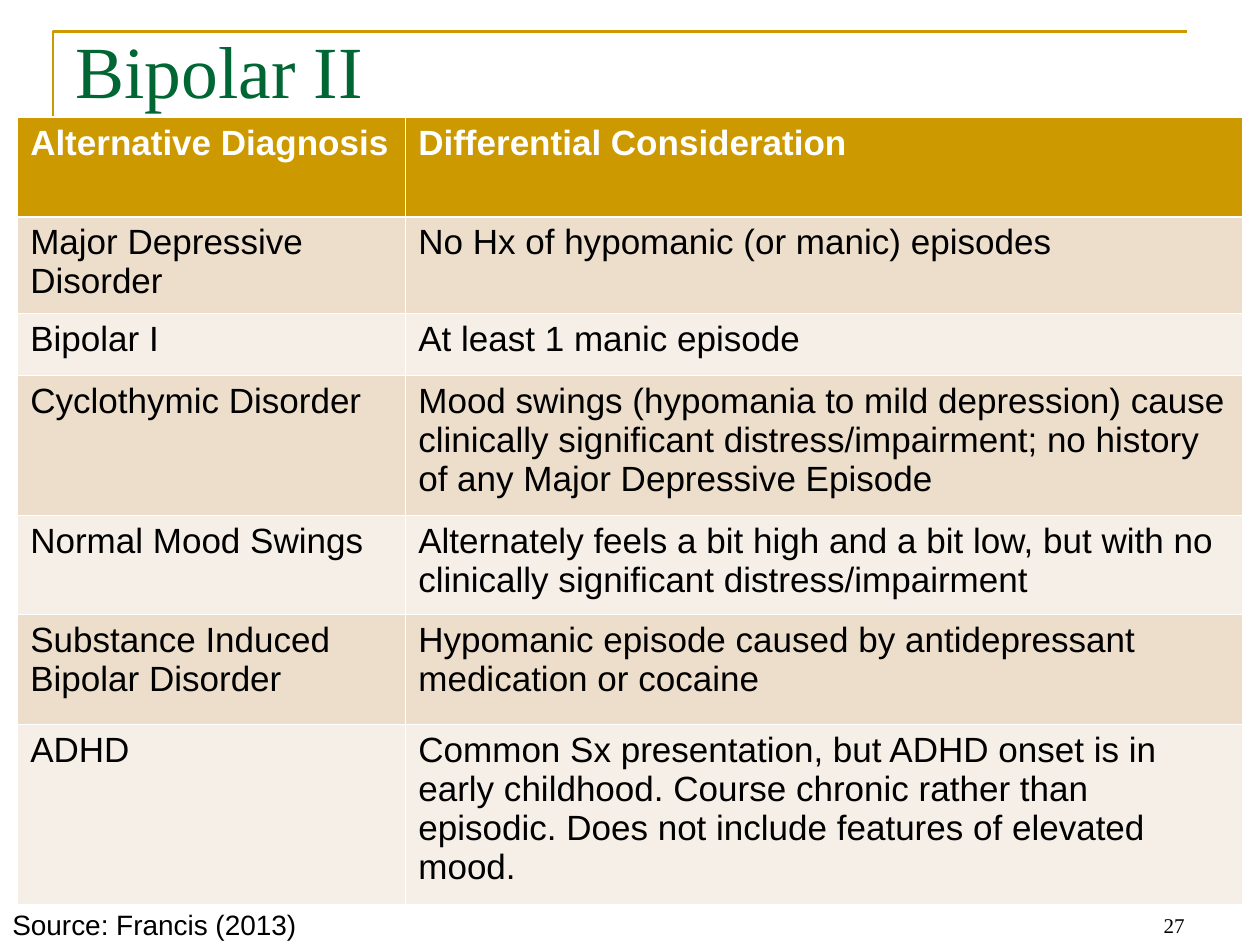
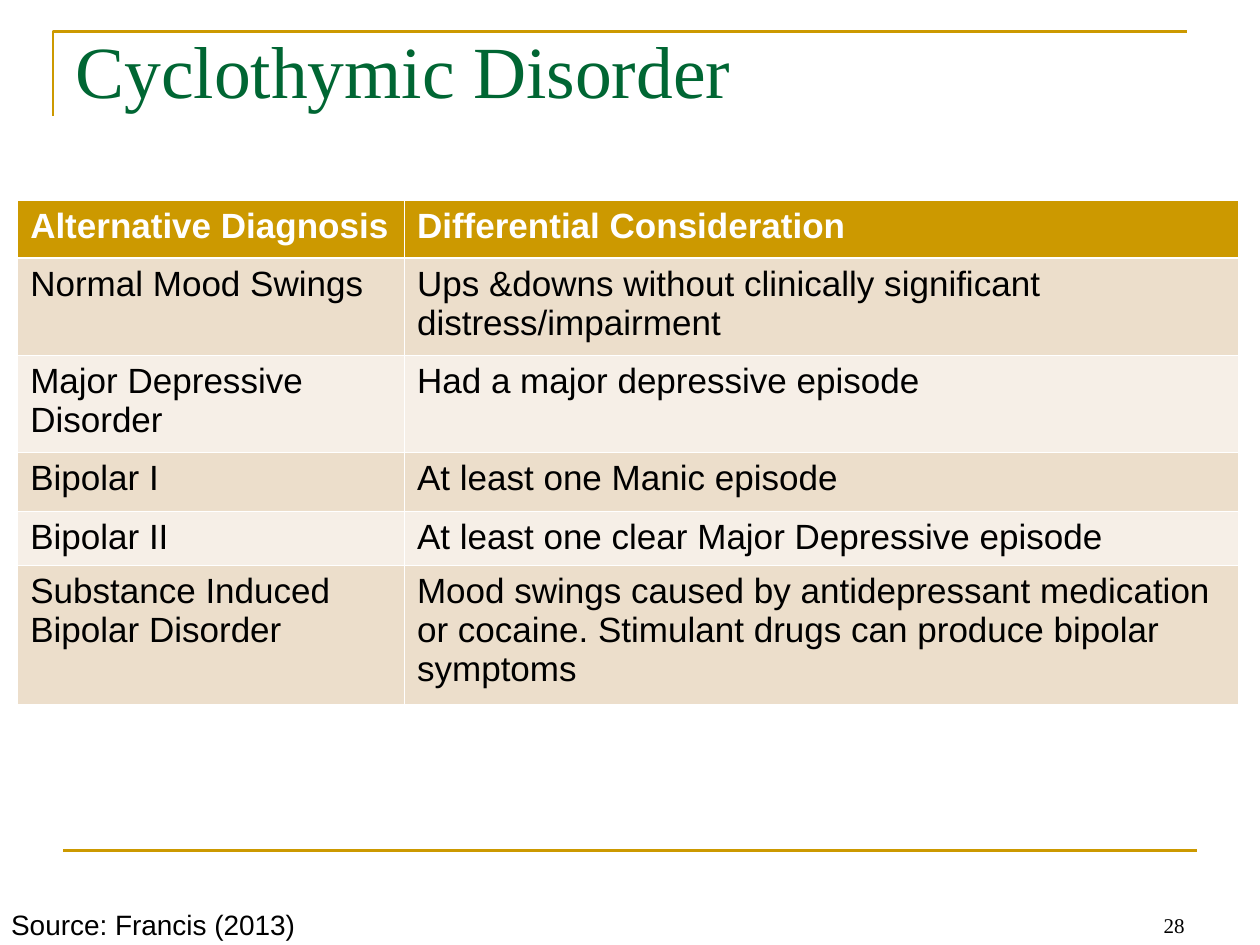
from dataclasses import dataclass

from lxml import etree
from pptx import Presentation
from pptx.dml.color import RGBColor
from pptx.enum.shapes import MSO_CONNECTOR
from pptx.enum.text import MSO_ANCHOR, PP_ALIGN
from pptx.oxml.ns import qn
from pptx.util import Inches, Pt

STRAIGHT = MSO_CONNECTOR.STRAIGHT
TOP, BOTTOM = MSO_ANCHOR.TOP, MSO_ANCHOR.BOTTOM
LEFT, RIGHT = PP_ALIGN.LEFT, PP_ALIGN.RIGHT


@dataclass(frozen=True)
class Theme:
    gold: str = "CC9900"
    green: str = "006633"
    black: str = "000000"
    white: str = "FFFFFF"
    bands: tuple = ("ECDECB", "F6EFE7")
    serif: str = "Times New Roman"
    sans: str = "Arial"
    title_size: float = 42
    table_size: float = 20
    source_size: float = 16
    number_size: float = 12
    rule_width: float = 1.5
    border_width: float = 0.45
    header_border_width: float = 1.47


THEME = Theme()
HEADINGS = ("Alternative Diagnosis", "Differential Consideration")
SOURCE = "Source: Francis (2013)"

DIAGNOSES = [
    {
        "title": "Bipolar II",
        "number": "27",
        "table_at": (0.14, 0.93),
        "columns": (3.08, 6.64),
        "source_at": (0, 7.15, 2.83, 0.37),
        "header_height": 0.79,
        "rows": [
            (0.77, "Major Depressive Disorder",
             "No Hx of hypomanic (or manic) episodes"),
            (0.49, "Bipolar I", "At least 1 manic episode"),
            (1.11, "Cyclothymic Disorder",
             "Mood swings (hypomania to mild depression) cause clinically "
             "significant distress/impairment; no history of any Major "
             "Depressive Episode"),
            (0.79, "Normal Mood Swings",
             "Alternately feels a bit high and a bit low, but with no "
             "clinically significant distress/impairment"),
            (0.87, "Substance Induced Bipolar Disorder",
             "Hypomanic episode caused by antidepressant medication or "
             "cocaine"),
            (1.43, "ADHD",
             "Common Sx presentation, but ADHD onset is in early childhood. "
             "Course chronic rather than episodic. Does not include features "
             "of elevated mood."),
        ],
    },
    {
        "title": "Cyclothymic Disorder",
        "number": "28",
        "table_at": (0.14, 1.59),
        "columns": (3.07, 6.62),
        "source_at": (-0.01, 7.15, 3.28, 0.37),
        "header_height": 0.46,
        "rows": [
            (0.77, "Normal Mood Swings",
             "Ups &downs without clinically significant "
             "distress/impairment"),
            (0.77, "Major Depressive Disorder",
             "Had a major depressive episode"),
            (0.47, "Bipolar I", "At least one Manic episode"),
            (0.43, "Bipolar II",
             "At least one clear Major Depressive episode"),
            (1.1, "Substance Induced Bipolar Disorder",
             "Mood swings caused by antidepressant medication or cocaine. "
             "Stimulant drugs can produce bipolar symptoms"),
        ],
    },
]


def rgb(color):
    return RGBColor.from_string(color)


def write(paragraph, text, size, font, color, bold=False):
    run = paragraph.add_run()
    run.text = text
    run.font.size = Pt(size)
    run.font.name = font
    run.font.bold = bold
    run.font.color.rgb = rgb(color)


def add_label(slide, box, text, size, font, color, align=LEFT, anchor=TOP):
    frame = slide.shapes.add_textbox(*map(Inches, box)).text_frame
    frame.word_wrap = True
    frame.vertical_anchor = anchor
    frame.paragraphs[0].alignment = align
    write(frame.paragraphs[0], text, size, font, color)


def style_rule(line):
    line.color.rgb = rgb(THEME.gold)
    line.width = Pt(THEME.rule_width)


def add_frame(slide, box):
    left, top, width, height = box
    corner = slide.shapes.build_freeform(Inches(left), Inches(top + 0.67))
    corner.add_line_segments(
        [(Inches(left), Inches(top)), (Inches(left + width), Inches(top))],
        close=False)
    bracket = corner.convert_to_shape()
    bracket.shadow.inherit = False
    bracket.fill.background()
    style_rule(bracket.line)

    start, bottom = left + 0.08, top + height
    footer_rule = slide.shapes.add_connector(
        STRAIGHT, Inches(start), Inches(bottom),
        Inches(start + width), Inches(bottom))
    style_rule(footer_rule.line)
    etree.SubElement(footer_rule._element.spPr, qn("a:effectLst"))


def set_borders(cell, top_width, bottom_width):
    properties = cell._tc.get_or_add_tcPr()
    thin = THEME.border_width
    widths = {"lnL": thin, "lnR": thin, "lnT": top_width, "lnB": bottom_width}
    for index, (edge, width) in enumerate(widths.items()):
        border = etree.Element(qn(f"a:{edge}"), w=str(Pt(width)))
        fill = etree.SubElement(border, qn("a:solidFill"))
        etree.SubElement(fill, qn("a:srgbClr"), val=THEME.white)
        properties.insert(index, border)


def add_diagnosis_table(slide, origin, columns, header_height, rows):
    lines = [(header_height, *HEADINGS), *rows]
    size = (sum(columns), sum(line[0] for line in lines))
    table = slide.shapes.add_table(
        len(lines), len(columns), *map(Inches, (*origin, *size))).table
    table.first_row = False
    table.horz_banding = False
    for column, width in zip(table.columns, columns):
        column.width = Inches(width)
    for index, (height, *texts) in enumerate(lines):
        table.rows[index].height = Inches(height)
        header = index == 0
        background = THEME.gold if header else THEME.bands[(index - 1) % 2]
        color = THEME.white if header else THEME.black
        thin, thick = THEME.border_width, THEME.header_border_width
        for cell, text in zip(table.rows[index].cells, texts):
            cell.fill.solid()
            cell.fill.fore_color.rgb = rgb(background)
            set_borders(cell, thick if index == 1 else thin,
                        thick if header else thin)
            write(cell.text_frame.paragraphs[0], text, THEME.table_size,
                  THEME.sans, color, header)


def add_diagnosis_slide(presentation, diagnosis):
    slide = presentation.slides.add_slide(presentation.slide_layouts[6])
    add_frame(slide, (0.42, 0.25, 9, 6.5))
    add_diagnosis_table(slide, diagnosis["table_at"], diagnosis["columns"],
                        diagnosis["header_height"], diagnosis["rows"])
    add_label(slide, (0.5, 0.15, 9, 0.78), diagnosis["title"],
              THEME.title_size, THEME.serif, THEME.green)
    add_label(slide, (7.17, 7.19, 2.33, 0.3), diagnosis["number"],
              THEME.number_size, THEME.serif, THEME.black, RIGHT, BOTTOM)
    add_label(slide, diagnosis["source_at"], SOURCE,
              THEME.source_size, THEME.sans, THEME.black)


def main():
    presentation = Presentation()
    presentation.slide_width = Inches(10)
    presentation.slide_height = Inches(7.5)
    for diagnosis in DIAGNOSES:
        add_diagnosis_slide(presentation, diagnosis)
    presentation.save("out.pptx")


if __name__ == "__main__":
    main()
